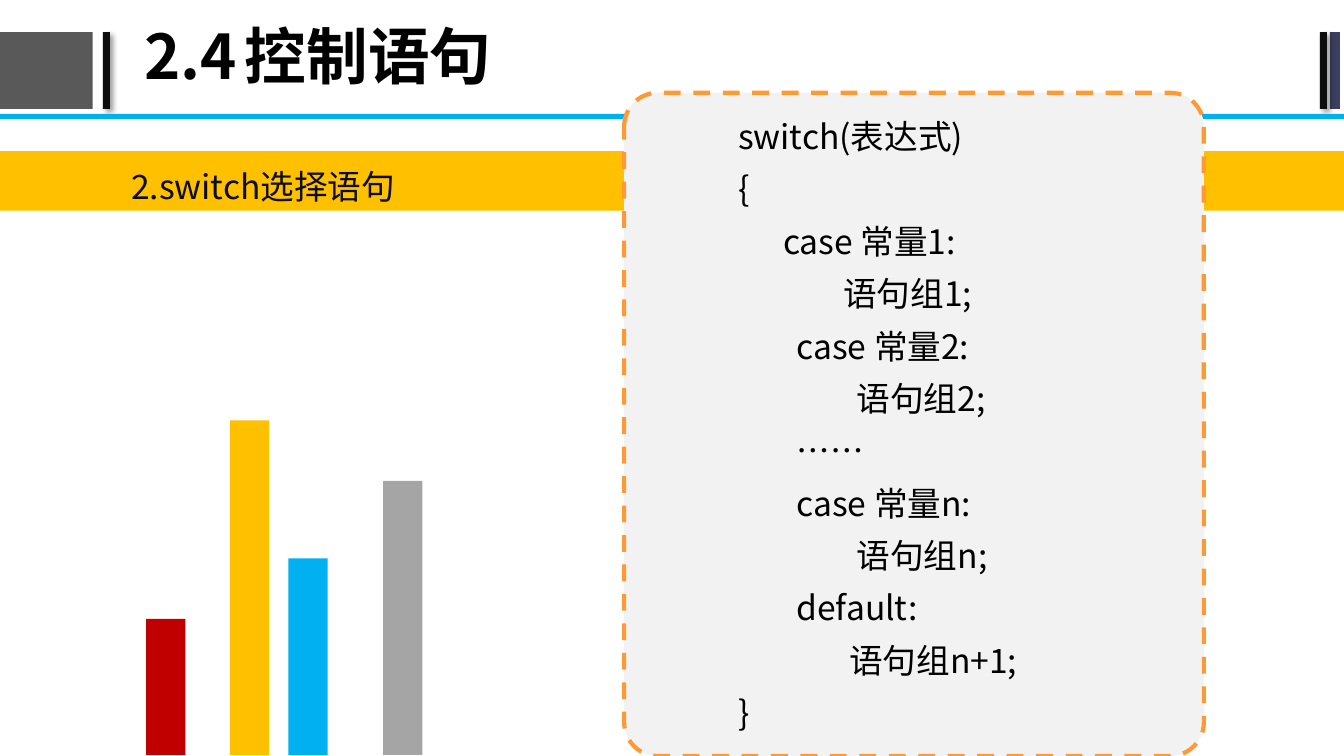
"""Build the slide on the switch selection statement."""
from lxml import etree
from pptx import Presentation, util as u
from pptx.dml.color import RGBColor
from pptx.enum import dml, shapes, text
from pptx.oxml.ns import qn

FONT = "Noto Sans CJK SC"
BLACK = RGBColor(0x00, 0x00, 0x00)
INK = RGBColor(0x0D, 0x0D, 0x0D)
CHARCOAL = RGBColor(0x59, 0x59, 0x59)
NAVY = RGBColor(0x3B, 0x3F, 0x60)
BLUE = RGBColor(0x00, 0xB0, 0xF0)
AMBER = RGBColor(0xFF, 0xC0, 0x00)
RED = RGBColor(0xC0, 0x00, 0x00)
GREY = RGBColor(0xA5, 0xA5, 0xA5)
PALE = RGBColor(0xF2, 0xF2, 0xF2)
ORANGE = RGBColor(0xFF, 0x99, 0x33)

WIDTH, HEIGHT = 13.33, 7.5
MARK_TOP, MARK_HEIGHT = 0.32, 0.76
BAR_WIDTH, BAR_BASE = 0.39, 7.49

deck = Presentation()
deck.slide_width, deck.slide_height = u.Inches(WIDTH), u.Inches(HEIGHT)
slide = deck.slides.add_slide(deck.slide_layouts[5])


def block(left, top, width, height, color, kind=shapes.MSO_SHAPE.RECTANGLE):
    shape = slide.shapes.add_shape(kind, *map(u.Inches, (left, top, width, height)))
    shape.shadow.inherit = False
    shape.fill.solid()
    shape.fill.fore_color.rgb = color
    shape.line.fill.background()
    return shape


def write(paragraph, words, size=24, color=BLACK, bold=False, spacing=1.0, indent=0, tab=None):
    paragraph.alignment = text.PP_ALIGN.LEFT
    paragraph.line_spacing = spacing
    props = paragraph._p.get_or_add_pPr()
    props.set("marL", "0")
    props.set("indent", str(u.Inches(indent)))
    if tab:
        stops = etree.SubElement(props, qn("a:tabLst"))
        etree.SubElement(stops, qn("a:tab"), pos=str(u.Inches(tab)), algn="l")
    run = paragraph.add_run()
    run.text = words
    run.font.size, run.font.bold, run.font.name = u.Pt(size), bold, FONT
    run.font.color.rgb = color
    etree.SubElement(run._r.get_or_add_rPr(), qn("a:ea"), typeface=FONT)


for left, width, color, shaded in [
    (-0.02, 0.94, CHARCOAL, False),
    (1.02, 0.07, INK, True),
    (13.19, 0.1, NAVY, False),
    (13.09, 0.07, INK, True),
]:
    mark = block(left, MARK_TOP, width, MARK_HEIGHT, color)
    if shaded:
        effects = mark._element.spPr.find(qn("a:effectLst"))
        shade = etree.SubElement(effects, qn("a:outerShdw"), blurRad=str(u.Pt(4)),
                                 dist=str(u.Pt(3)), dir=str(45 * 60000), algn="tl")
        tint = etree.SubElement(shade, qn("a:srgbClr"), val="000000")
        etree.SubElement(tint, qn("a:alpha"), val="40000")

title = slide.shapes.title
title.left, title.top, title.width, title.height = map(u.Inches, (1.33, 0, 11.25, 1.18))
title.text_frame.vertical_anchor = text.MSO_ANCHOR.MIDDLE
title.text_frame.auto_size = text.MSO_AUTO_SIZE.NONE
write(title.text_frame.paragraphs[0], "2.4\t控制语句", size=44, bold=True, spacing=0.9, tab=1.34)

block(0, 1.13, WIDTH, 0.05, BLUE)
block(0, 1.5, WIDTH, 0.59, AMBER)

card = block(6.19, 0.92, 5.75, 6.58, PALE, shapes.MSO_SHAPE.ROUNDED_RECTANGLE)
card.adjustments[0] = 0.058
card.line.color.rgb = ORANGE
card.line.width = u.Pt(3)
card.line.dash_style = dml.MSO_LINE.DASH

OUTER, INNER = 0.79, 1.37
syntax = [
    (OUTER, "switch(表达式)"),
    (OUTER, "{"),
    (OUTER, "      case 常量1:"),
    (OUTER, "              语句组1;"),
    (INNER, "case 常量2:"),
    (INNER, "        语句组2;"),
    (INNER, "……"),
    (INNER, "case 常量n:"),
    (INNER, "        语句组n;"),
    (INNER, "default:"),
    (INNER, "       语句组n+1;"),
    (OUTER, "}"),
]
heading = [(0, "2.switch选择语句")]

for area, lines, color, spacing in [
    ((6.4, 0.96, 5.33, 6.39), syntax, BLACK, 1.3),
    ((1.17, 1.5, 10.19, 0.58), heading, INK, 1.2),
]:
    frame = slide.shapes.add_textbox(*map(u.Inches, area)).text_frame
    frame.word_wrap = True
    frame.margin_left = frame.margin_right = u.Inches(0.13)
    frame.margin_top = frame.margin_bottom = u.Inches(0.07)
    for row, (indent, words) in enumerate(lines):
        paragraph = frame.add_paragraph() if row else frame.paragraphs[0]
        write(paragraph, words, color=color, spacing=spacing, indent=indent)

for left, top, color in [
    (3.8, 4.77, GREY),
    (2.86, 5.54, BLUE),
    (2.28, 4.17, AMBER),
    (1.45, 6.14, RED),
]:
    block(left, top, BAR_WIDTH, BAR_BASE - top, color)

deck.save("out.pptx")
